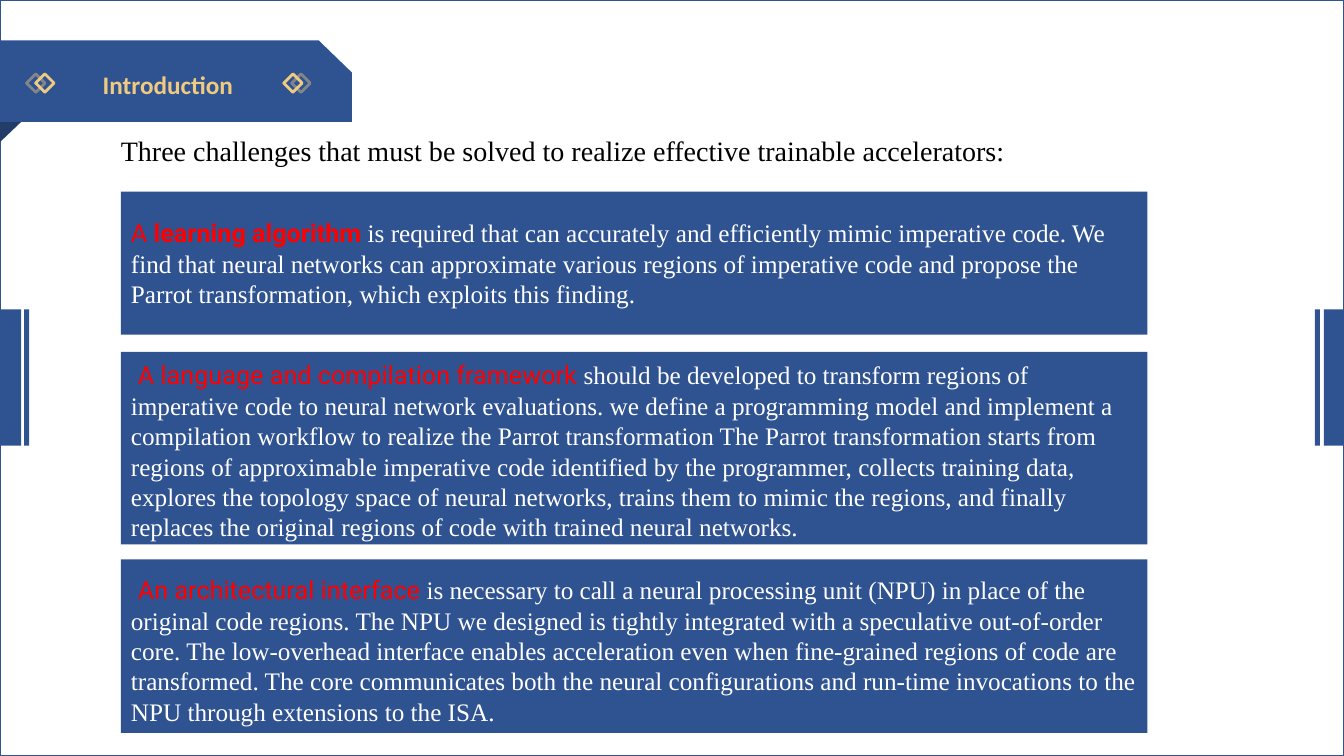
"""Build the Introduction slide on three challenges of trainable accelerators."""
from lxml import etree
from pptx import Presentation, util as u
from pptx.dml import color
from pptx.enum import shapes, text
from pptx.oxml import ns

COLORS = {"blue": "2F5291", "fold": "233D6B", "gold": "EFCA81",
          "red": "FF0000", "white": "FFFFFF", "black": "000000"}
SERIF, SANS = "Times New Roman", "Roboto"


def add_run(paragraph, words, font, size, hue, bold=False):
    run = paragraph.add_run()
    run.text = words
    run.font.name, run.font.size, run.font.bold = font, u.Pt(size), bold
    run.font.color.rgb = color.RGBColor.from_string(COLORS[hue])


def paint(shape, fill=None, line=None, width=1):
    shape.shadow.inherit = False
    if fill:
        shape.fill.solid()
        shape.fill.fore_color.rgb = color.RGBColor.from_string(COLORS[fill])
    else:
        shape.fill.background()
    if line:
        shape.line.color.rgb = color.RGBColor.from_string(COLORS[line])
        shape.line.width = u.Pt(width)
    else:
        shape.line.fill.background()


prs = Presentation()
prs.slide_width, prs.slide_height = u.Inches(13.33), u.Inches(7.5)
slide = prs.slides.add_slide(prs.slide_layouts[5])
RECT = shapes.MSO_SHAPE.RECTANGLE

border = slide.shapes.add_shape(RECT, 0, 0, prs.slide_width, prs.slide_height)
paint(border, line="blue")

ribbon_parts = [
    ("fold", [(0, 1.21), (0.21, 1.21), (0, 1.41)]),
    ("blue", [(0, 0.4), (3.16, 0.4), (3.49, 0.72), (3.49, 1.21), (0, 1.21)]),
]
for hue, corners in ribbon_parts:
    points = [(u.Inches(x), u.Inches(y)) for x, y in corners]
    outline = slide.shapes.build_freeform(*points[0])
    outline.add_line_segments(points[1:], close=True)
    paint(outline.convert_to_shape(), fill=hue)

for left, width in [(0, 0.21), (0.24, 0.05), (13.04, 0.05), (13.13, 0.2)]:
    side_bar = slide.shapes.add_shape(RECT, u.Inches(left), u.Inches(3.07),
                                      u.Inches(width), u.Inches(1.35))
    paint(side_bar, fill="blue")

for left, opacity in [(2.84, 100), (2.92, 44), (0.29, 43), (0.38, 100)]:
    diamond = slide.shapes.add_shape(RECT, u.Inches(left), u.Inches(0.76),
                                     u.Inches(0.13), u.Inches(0.13))
    diamond.rotation = 45
    paint(diamond, line="gold", width=2)
    if opacity < 100:
        gold = diamond.line._ln.find(".//" + ns.qn("a:srgbClr"))
        etree.SubElement(gold, ns.qn("a:alpha"), val=str(opacity * 1000))

heading = slide.shapes.title
heading.left, heading.top = u.Inches(0.92), u.Inches(0.64)
heading.width, heading.height = u.Inches(1.49), u.Inches(0.4)
heading.text_frame.margin_left = heading.text_frame.margin_right = 0
heading.text_frame.word_wrap = False
heading.text_frame.auto_size = text.MSO_AUTO_SIZE.NONE
heading.text_frame.vertical_anchor = text.MSO_ANCHOR.MIDDLE
add_run(heading.text_frame.paragraphs[0], "Introduction", "Calibri", 18, "gold", True)
heading.element.getparent().append(heading.element)

lead = slide.shapes.add_textbox(u.Inches(1.1), u.Inches(1.28),
                                u.Inches(10.49), u.Inches(0.44))
lead.text_frame.word_wrap = True
add_run(lead.text_frame.paragraphs[0],
        "Three challenges that must be solved to realize effective trainable accelerators:",
        SERIF, 20, "black")

indent = (" ", SERIF, 20, "white")
challenges = [
    (1.9, 1.42, 0.26, [[
        ("A ", SANS, 18, "red"),
        ("learning algorithm ", SANS, 18, "red", True),
        ("is required that can accurately and efficiently mimic imperative code. We find "
         "that neural networks can approximate various regions of imperative code and "
         "propose the Parrot transformation, which exploits this finding.",
         SERIF, 18, "white")]]),
    (3.49, 1.91, 0.05, [[
        indent,
        ("A language and compilation framework ", SANS, 18, "red"),
        ("should be developed to transform regions of imperative code to neural network "
         "evaluations. we define a programming model and implement a compilation workflow "
         "to realize the Parrot transformation The Parrot transformation starts from "
         "regions of approximable imperative code identified by the programmer, collects "
         "training data, explores the topology space of neural networks, trains them to "
         "mimic the regions, and finally replaces the original regions of code with "
         "trained neural networks.", SERIF, 18, "white")]]),
    (5.55, 1.72, 0.12, [
        [indent,
         ("An architectural interface ", SANS, 18, "red"),
         ("is necessary to call a neural processing unit (NPU) in place of the original "
          "code regions. The NPU we designed is tightly integrated with a speculative "
          "out-of-order", SERIF, 18, "white")],
        [("core. The low-overhead interface enables acceleration even when fine-grained "
          "regions of code are transformed. The core communicates both the neural "
          "configurations and run-time invocations to the NPU through extensions to the "
          "ISA.", SERIF, 18, "white")]]),
]
for top, height, inset, paragraphs in challenges:
    challenge = slide.shapes.add_shape(RECT, u.Inches(1.2), u.Inches(top),
                                       u.Inches(10.18), u.Inches(height))
    paint(challenge, fill="blue")
    frame = challenge.text_frame
    frame.word_wrap = True
    frame.vertical_anchor = text.MSO_ANCHOR.TOP
    frame.margin_top, frame.margin_bottom = u.Inches(inset), 0
    for index, runs in enumerate(paragraphs):
        paragraph = frame.add_paragraph() if index else frame.paragraphs[0]
        paragraph.alignment = text.PP_ALIGN.LEFT
        for run in runs:
            add_run(paragraph, *run)

prs.save("out.pptx")
